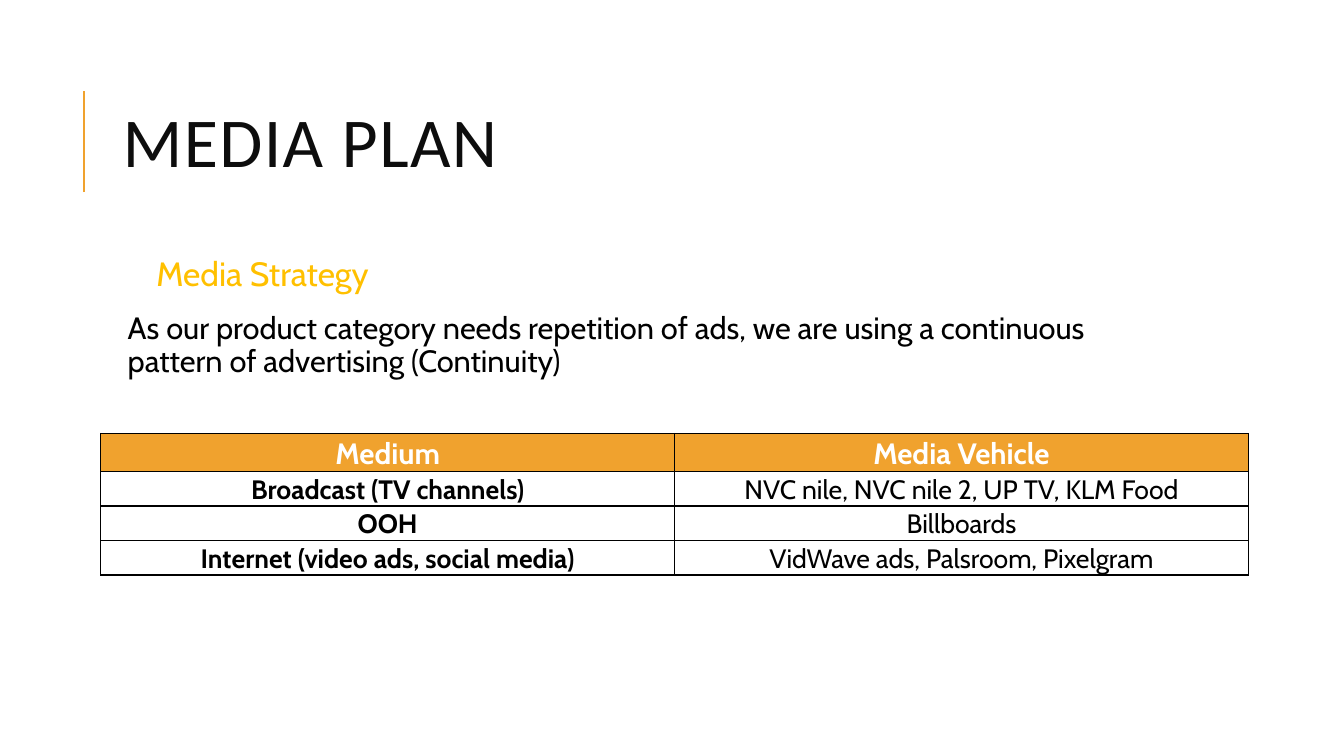
import pptx
import pptx.dml.color
import pptx.enum.shapes
import pptx.enum.text
import pptx.oxml
import pptx.oxml.ns
import pptx.util

Cm = pptx.util.Cm
Pt = pptx.util.Pt
Anchor = pptx.enum.text.MSO_ANCHOR
Align = pptx.enum.text.PP_ALIGN
RGBColor = pptx.dml.color.RGBColor

ORANGE = RGBColor(0xF0, 0xA2, 0x2E)
GOLD = RGBColor(0xFF, 0xC0, 0x00)
INK = RGBColor(0x0D, 0x0D, 0x0D)
BLACK = RGBColor(0, 0, 0)
WHITE = RGBColor(0xFF, 0xFF, 0xFF)

MEDIA = [
    ("Medium", "Media Vehicle"),
    ("Broadcast (TV channels)", "NVC nile, NVC nile 2, UP TV, KLM Food"),
    ("OOH", "Billboards"),
    ("Internet (video ads, social media)", "VidWave ads, Palsroom, Pixelgram"),
]


class PlanPage:
    body_font = "Cabin"
    title_font = "Calibri"

    def __init__(self, deck):
        self.page = deck.slides.add_slide(deck.slide_layouts[6])

    def rule(self, left, top, bottom):
        line = self.page.shapes.add_connector(
            pptx.enum.shapes.MSO_CONNECTOR.STRAIGHT,
            Cm(left), Cm(bottom), Cm(left), Cm(top))
        line.line.color.rgb = ORANGE
        line.line.width = Pt(1.5)
        line._element.spPr.append(pptx.oxml.parse_xml(
            f'<a:effectLst {pptx.oxml.ns.nsdecls("a")}/>'))

    def box(self, left, top, width, height, inset, anchor=Anchor.TOP):
        frame = self.page.shapes.add_textbox(
            Cm(left), Cm(top), Cm(width), Cm(height)).text_frame
        frame.word_wrap = True
        frame.vertical_anchor = anchor
        frame.margin_left = frame.margin_right = Cm(inset)
        frame.margin_top = frame.margin_bottom = Cm(0.13)
        return frame

    def span(self, para, text, size, color, bold=False, font=None):
        span = para.add_run()
        span.text = text
        span.font.name = font or self.body_font
        span.font.size = Pt(size)
        span.font.bold = bold
        span.font.color.rgb = color
        return span

    def title(self, text):
        frame = self.box(2.84, 1.63, 27, 4.17, 0.25, Anchor.MIDDLE)
        para = frame.paragraphs[0]
        para.line_spacing = 0.8
        span = self.span(para, text, 50, INK, font=self.title_font)
        span._r.get_or_add_rPr().set("spc", "100")

    def strategy(self, heading, statement):
        frame = self.box(2.84, 6.35, 27, 11.18, 0.13)
        lines = [(heading, 24, GOLD, 0.97), (statement, 22, BLACK, 0.25)]
        for index, (text, size, color, indent) in enumerate(lines):
            para = frame.add_paragraph() if index else frame.paragraphs[0]
            para._p.get_or_add_pPr().set("marL", str(Cm(indent)))
            para.line_spacing = 0.9
            para.space_before = Pt(12 if index else 0)
            para.space_after = Pt(2)
            self.span(para, text, size, color)

    def table(self, rows, left, top, width, header_height, row_height):
        height = header_height + row_height * (len(rows) - 1)
        table = self.page.shapes.add_table(
            len(rows), len(rows[0]), Cm(left), Cm(top), Cm(width), Cm(height)).table
        for column in table.columns:
            column.width = Cm(width / len(rows[0]))
        for row_index, texts in enumerate(rows):
            header = row_index == 0
            table.rows[row_index].height = Cm(header_height if header else row_height)
            for column_index, text in enumerate(texts):
                cell = table.cell(row_index, column_index)
                self.cell_style(cell, ORANGE if header else None)
                para = cell.text_frame.paragraphs[0]
                para.alignment = Align.CENTER
                para.line_spacing = 1.07
                self.span(para, text, 21 if header else 19,
                          WHITE if header else BLACK, header or column_index == 0)

    def cell_style(self, cell, fill):
        cell.margin_left = cell.margin_right = Cm(0.33)
        cell.margin_top = cell.margin_bottom = 0
        # Borders come before the fill in the cell properties
        properties = cell._tc.get_or_add_tcPr()
        for side in ("lnL", "lnR", "lnT", "lnB"):
            properties.append(pptx.oxml.parse_xml(
                f'<a:{side} {pptx.oxml.ns.nsdecls("a")} w="{Pt(1)}"><a:solidFill>'
                f'<a:srgbClr val="{BLACK}"/></a:solidFill></a:{side}>'))
        if fill is None:
            cell.fill.background()
        else:
            cell.fill.solid()
            cell.fill.fore_color.rgb = fill


def main():
    deck = pptx.Presentation()
    deck.slide_width = Cm(33.87)
    deck.slide_height = Cm(19.05)
    plan = PlanPage(deck)

    # Title with its accent rule
    plan.rule(2.12, 2.3, 4.84)
    plan.title("MEDIA PLAN")

    # Strategy statement
    plan.strategy("Media Strategy",
                  "As our product category needs repetition of ads, we are using "
                  "a continuous pattern of advertising (Continuity)")

    # Media and their vehicles
    plan.table(MEDIA, 2.54, 10.92, 28.92, 0.96, 0.87)

    deck.save("out.pptx")


if __name__ == "__main__":
    main()
